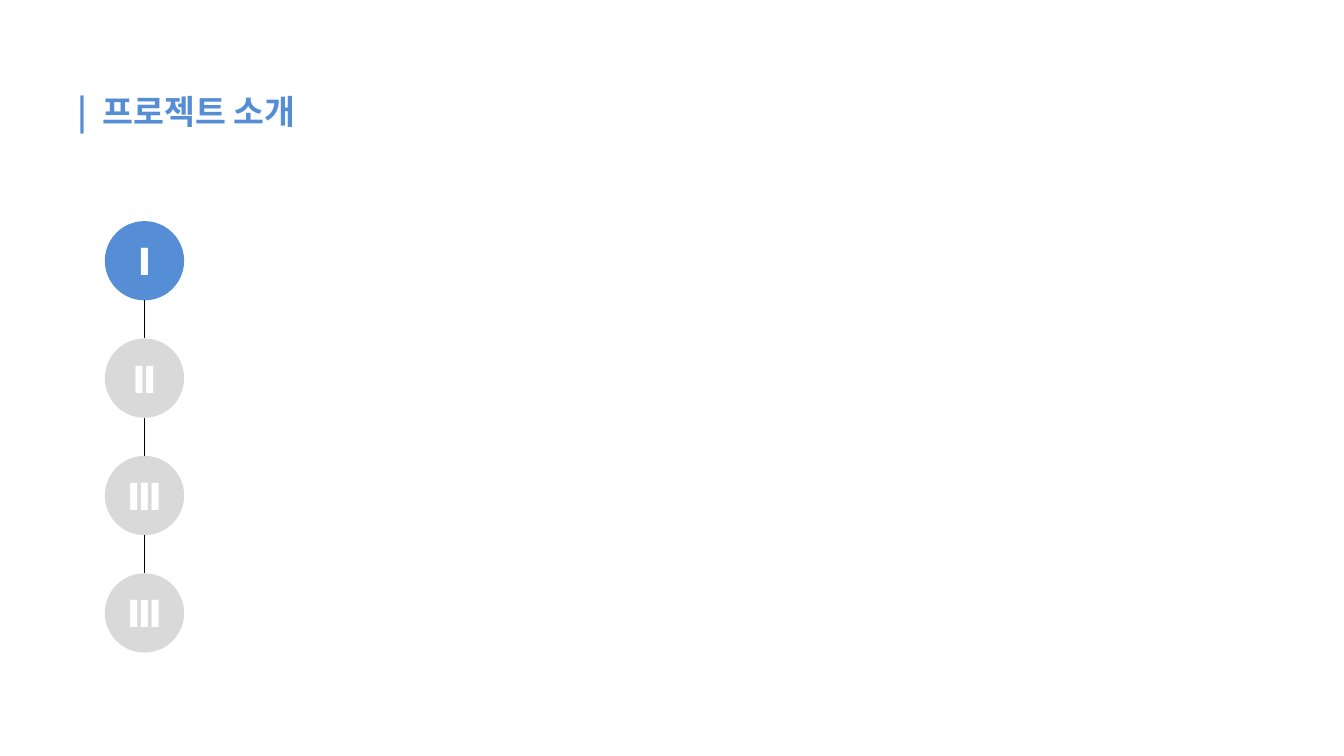
from lxml import etree
from pptx import Presentation
from pptx.dml.color import RGBColor
from pptx.enum import shapes, text
from pptx.oxml.ns import qn
from pptx.util import Inches, Pt

TITLE = "|  프로젝트 소개"
STEPS = ["Ⅰ", "Ⅱ", "Ⅲ", "Ⅲ"]
ACTIVE_STEP = 0

BLUE = RGBColor(0x55, 0x8E, 0xD5)
GREY = RGBColor(0xD9, 0xD9, 0xD9)
WHITE = RGBColor(0xFF, 0xFF, 0xFF)
BLACK = RGBColor(0, 0, 0)

# Step column, in inches
LEFT, TOP, DIAMETER, PITCH = 1.56, 3.29, 1.18, 1.747


def write(shape, words, font_name, size, color):
    """Fill a shape with one bold paragraph, for Latin and Korean script alike."""
    paragraph = shape.text_frame.paragraphs[0]
    paragraph.text = words
    font = paragraph.font
    font.name, font.size, font.bold = font_name, Pt(size), True
    font.color.rgb = color
    latin = paragraph._p.find(".//" + qn("a:latin"))
    east_asian = etree.Element(qn("a:ea"), typeface=font_name)
    latin.addnext(east_asian)
    return paragraph


def add_title(page):
    box = page.shapes.add_textbox(Inches(1.05), Inches(1.31), Inches(4.49), Inches(0.71))
    box.text_frame.word_wrap = True
    box.text_frame.auto_size = text.MSO_AUTO_SIZE.SHAPE_TO_FIT_TEXT
    write(box, TITLE, "Noto Sans CJK KR", 36, BLUE)


def add_step(page, numeral, top, color):
    circle = page.shapes.add_shape(
        shapes.MSO_SHAPE.OVAL, Inches(LEFT), Inches(top), Inches(DIAMETER), Inches(DIAMETER))
    circle.shadow.inherit = False
    circle.fill.solid()
    circle.fill.fore_color.rgb = color
    circle.line.fill.background()
    circle.text_frame.vertical_anchor = text.MSO_ANCHOR.MIDDLE
    write(circle, numeral, "Calibri", 40, WHITE).alignment = text.PP_ALIGN.CENTER


def add_link(page, start, end):
    middle = Inches(LEFT + DIAMETER / 2)
    link = page.shapes.add_connector(
        shapes.MSO_CONNECTOR.STRAIGHT, middle, Inches(start), middle, Inches(end))
    link.line.color.rgb = BLACK
    link.line.width = Pt(1)
    etree.SubElement(link._element.spPr, qn("a:effectLst"))


def main():
    deck = Presentation()
    deck.slide_width, deck.slide_height = Inches(20), Inches(11.25)
    page = deck.slides.add_slide(deck.slide_layouts[6])
    add_title(page)
    tops = [TOP + PITCH * row for row in range(len(STEPS))]
    for row, (numeral, top) in enumerate(zip(STEPS, tops)):
        add_step(page, numeral, top, BLUE if row == ACTIVE_STEP else GREY)
    for top, next_top in zip(tops, tops[1:]):
        add_link(page, top + DIAMETER, next_top)
    deck.save("out.pptx")


if __name__ == "__main__":
    main()
